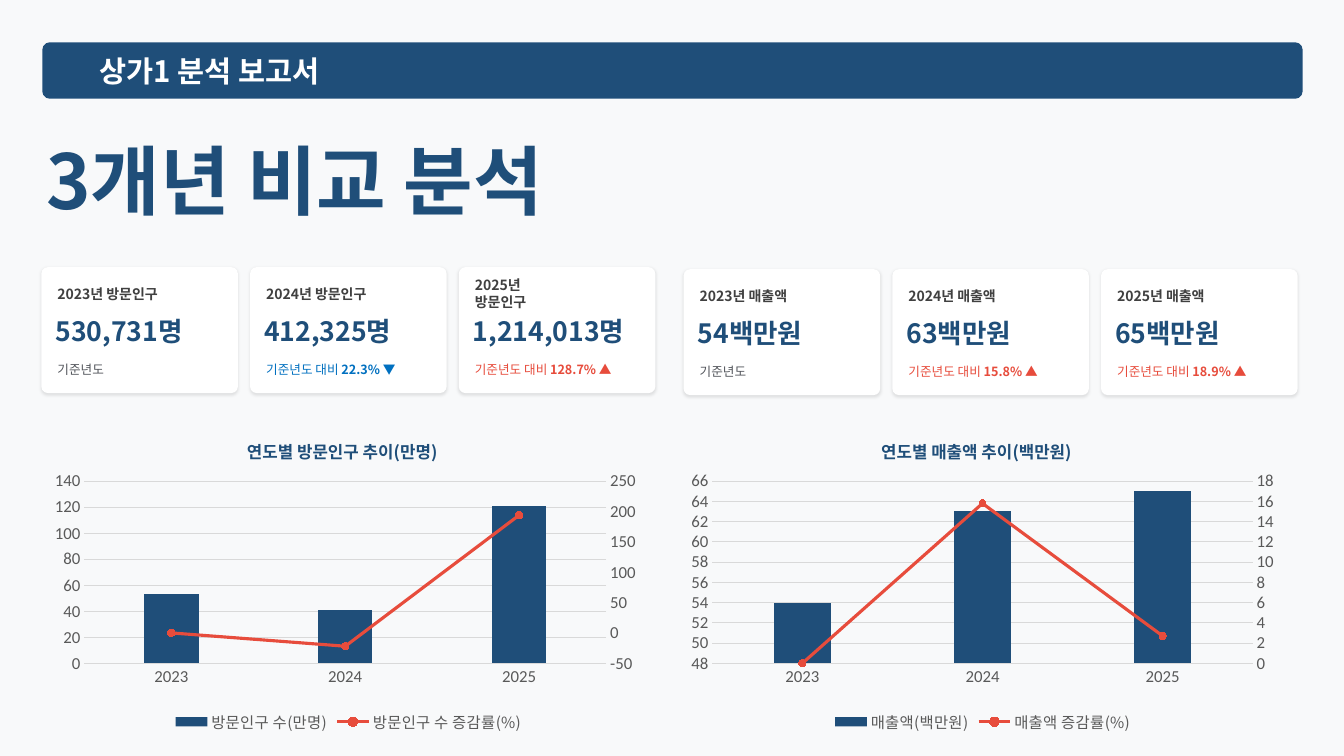
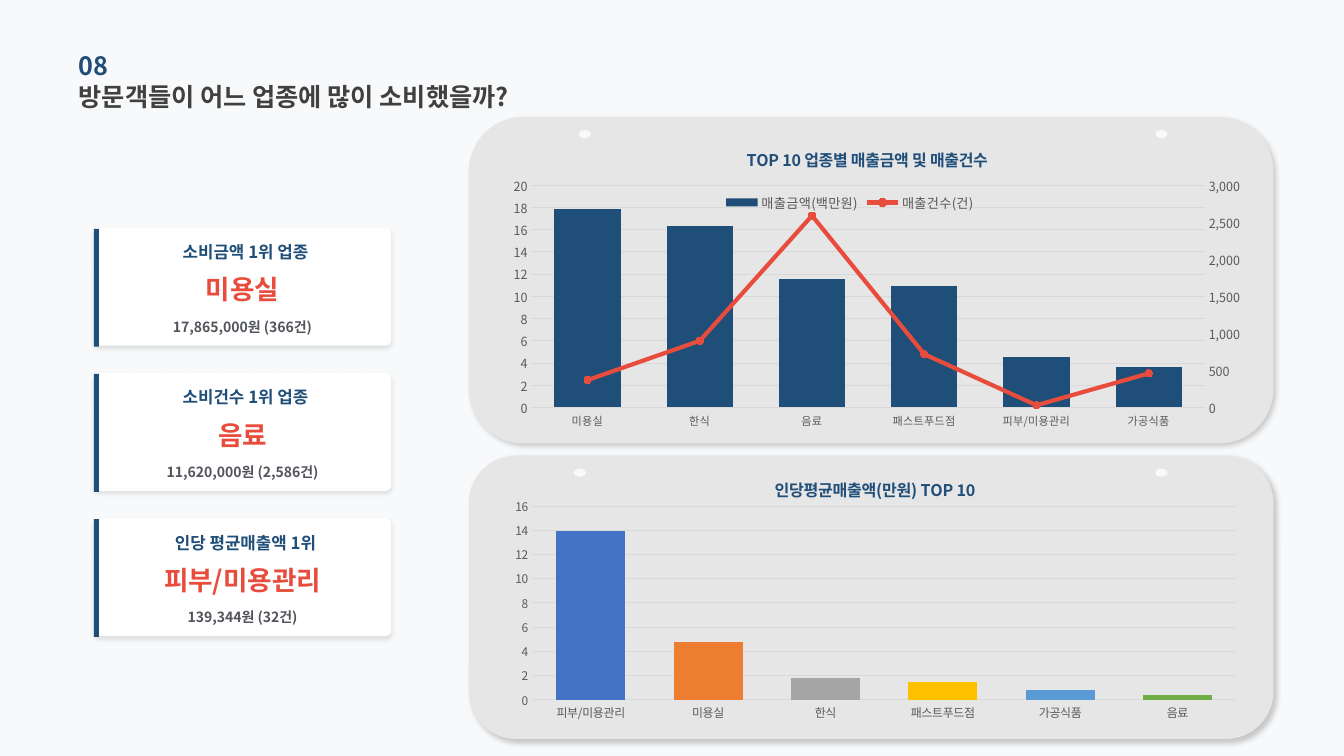
from copy import deepcopy

from pptx import Presentation
from pptx.chart.axis import ValueAxis
from pptx.chart.data import CategoryChartData
from pptx.dml.color import RGBColor
from pptx.enum.chart import XL_CHART_TYPE, XL_LEGEND_POSITION, XL_MARKER_STYLE, XL_TICK_MARK
from pptx.enum.shapes import MSO_SHAPE
from pptx.enum.text import MSO_ANCHOR, PP_ALIGN
from pptx.oxml import parse_xml
from pptx.oxml.ns import nsdecls
from pptx.util import Inches, Pt

# Shared style
NAVY = RGBColor(0x1F, 0x4E, 0x79)
RED = RGBColor(0xE7, 0x4C, 0x3C)
BLUE = RGBColor(0x00, 0x70, 0xC0)
DARK = RGBColor(0x40, 0x40, 0x40)
SLATE = RGBColor(0x51, 0x54, 0x5A)
AXIS_GRAY = RGBColor(0x59, 0x59, 0x59)
GRID_GRAY = RGBColor(0xD9, 0xD9, 0xD9)
PANEL_GRAY = RGBColor(0xE7, 0xE6, 0xE6)
PAPER = RGBColor(0xF8, 0xF9, 0xFA)
WHITE = RGBColor(0xFF, 0xFF, 0xFF)
BAR_COLORS = [RGBColor.from_string(code) for code in
              ("4472C4", "ED7D31", "A5A5A5", "FFC000", "5B9BD5", "70AD47")]
KOREAN = "Noto Sans CJK KR"
LATIN = "Calibri"

COLUMN = XL_CHART_TYPE.COLUMN_CLUSTERED
LEGEND_BOTTOM, LEGEND_TOP = XL_LEGEND_POSITION.BOTTOM, XL_LEGEND_POSITION.TOP
CIRCLE = XL_MARKER_STYLE.CIRCLE
NO_TICK = XL_TICK_MARK.NONE
RECTANGLE, ROUNDED, OVAL = MSO_SHAPE.RECTANGLE, MSO_SHAPE.ROUNDED_RECTANGLE, MSO_SHAPE.OVAL
MIDDLE = MSO_ANCHOR.MIDDLE
LEFT, CENTER = PP_ALIGN.LEFT, PP_ALIGN.CENTER

# Shadows: opacity percent, blur, distance, angle
CARD_SHADOW = (10, 2, 1, 90)
RANK_SHADOW = (10, 3, 2, 90)
PANEL_SHADOW = (20, 4, 3, 45)


def style_font(font, size, color, bold=False, name=KOREAN):
    font.name, font.size, font.bold = name, Pt(size), bold
    font.color.rgb = color


def add_korean_font(element):
    for latin in element.xpath(".//a:latin"):
        latin.addnext(parse_xml(f'<a:ea {nsdecls("a")} typeface="{KOREAN}"/>'))


def place(element, index, position, inner=False):
    """Give a chart part a manual layout, as fractions of the chart."""
    for layout in element.xpath("./c:layout"):
        element.remove(layout)
    target = '<c:layoutTarget val="inner"/>' if inner else ""
    modes = '<c:xMode val="edge"/><c:yMode val="edge"/>'
    sizes = "".join(f'<c:{key} val="{value}"/>' for key, value in zip("xywh", position))
    element.insert(index, parse_xml(
        f'<c:layout {nsdecls("c")}><c:manualLayout>{target}{modes}{sizes}'
        "</c:manualLayout></c:layout>"))


def set_scale(axis, scale):
    axis.minimum_scale, axis.maximum_scale, axis.major_unit = scale


class Deck:
    def __init__(self):
        self.presentation = Presentation()
        self.presentation.slide_width = Inches(13.33)
        self.presentation.slide_height = Inches(7.5)
        self.slide = None

    def new_slide(self):
        self.slide = self.presentation.slides.add_slide(self.presentation.slide_layouts[6])
        self.slide.background.fill.solid()
        self.slide.background.fill.fore_color.rgb = PAPER

    def shape(self, kind, box, color, radius=None, shadow=None):
        shape = self.slide.shapes.add_shape(kind, *map(Inches, box))
        shape.fill.solid()
        shape.fill.fore_color.rgb = color
        shape.line.fill.background()
        shape.shadow.inherit = False
        if radius is not None:
            shape.adjustments[0] = radius
        if shadow:
            opacity, blur, distance, angle = shadow
            shape.element.xpath("./p:spPr/a:effectLst")[0].append(parse_xml(
                f'<a:outerShdw {nsdecls("a")} blurRad="{Pt(blur)}" dist="{Pt(distance)}" '
                f'dir="{angle * 60000}" algn="ctr" rotWithShape="0"><a:srgbClr val="000000">'
                f'<a:alpha val="{opacity * 1000}"/></a:srgbClr></a:outerShdw>'))

    def text(self, box, text, size, color, bold=True, align=LEFT, bold_end=""):
        shape = self.slide.shapes.add_textbox(*map(Inches, box))
        frame = shape.text_frame
        frame.word_wrap = True
        frame.vertical_anchor = MIDDLE
        frame.margin_left = frame.margin_right = frame.margin_top = frame.margin_bottom = 0
        paragraph = frame.paragraphs[0]
        paragraph.alignment = align
        paragraph.add_run().text = text
        style_font(paragraph.font, size, color, bold)
        if bold_end:
            run = paragraph.add_run()
            run.text = bold_end
            run.font.bold = True
        add_korean_font(shape.element)

    def year_card(self, left, top, label, value, change, label_width=1.2):
        self.shape(ROUNDED, (left, top, 1.95, 1.25), WHITE, 0.053, CARD_SHADOW)
        self.text((left + 0.16, top + 0.18, label_width, 0.17), label, 10, DARK)
        self.text((left + 0.14, top + 0.49, 1.95, 0.29), value, 19, NAVY)
        note = (left + 0.16, top + 0.91, 1.75, 0.21)
        if change:
            color = RED if change.endswith("▲") else BLUE
            self.text(note, "기준년도 대비 ", 9, color, False, bold_end=change)
        else:
            self.text(note, "기준년도", 9, SLATE, False)

    def rank_card(self, top, label, value, detail):
        left, width = 0.93, 2.95
        self.shape(ROUNDED, (left, top, width, 1.17), WHITE, 0.048, RANK_SHADOW)
        self.text((left + 0.03, top + 0.13, width, 0.22), label, 12, NAVY, align=CENTER)
        self.text((left, top + 0.44, width, 0.34), value, 19, RED, align=CENTER)
        self.text((left, top + 0.9, width, 0.17), detail, 10, SLATE, align=CENTER)
        self.shape(RECTANGLE, (left, top + 0.01, 0.05, 1.17), NAVY)

    def panel(self, top, height, hole_left):
        self.shape(ROUNDED, (4.65, top, 7.98, height), PANEL_GRAY, shadow=PANEL_SHADOW)
        for left in (hole_left, 11.46):
            self.shape(OVAL, (left, top + 0.13, 0.12, 0.08), PAPER)

    def chart(self, box, title, title_at, title_size, categories, series, plot_at, scale,
              gap, overlap=0, axis_sizes=(12, 12), axis_font=LATIN):
        data = CategoryChartData()
        data.categories = categories
        for name, values in series:
            data.add_series(name, values)
        chart = self.slide.shapes.add_chart(COLUMN, *map(Inches, box), data).chart
        style_font(chart.font, 10, AXIS_GRAY, name=LATIN)
        chart.has_legend = False
        # Title and plot area
        chart.has_title = True
        chart.chart_title.text_frame.text = title
        style_font(chart.chart_title.text_frame.paragraphs[0].font, title_size, NAVY, True)
        place(chart.element.xpath(".//c:title")[0], 1, title_at)
        place(chart.element.xpath(".//c:plotArea")[0], 0, plot_at, inner=True)
        # Axes
        for axis, size in zip((chart.category_axis, chart.value_axis), axis_sizes):
            axis.major_tick_mark = NO_TICK
            style_font(axis.tick_labels.font, size, AXIS_GRAY, name=axis_font)
        line = chart.category_axis.format.line
        line.color.rgb, line.width = GRID_GRAY, Pt(0.75)
        chart.value_axis.format.line.fill.background()
        grid = chart.value_axis.major_gridlines.format.line
        grid.color.rgb, grid.width = GRID_GRAY, Pt(0.75)
        chart.value_axis.tick_labels.number_format = "#,##0"
        chart.value_axis.tick_labels.number_format_is_linked = False
        set_scale(chart.value_axis, scale)
        # Columns
        plot = chart.plots[0]
        plot.gap_width, plot.overlap = gap, overlap
        plot.vary_by_categories = False
        plot.series[0].format.fill.solid()
        plot.series[0].format.fill.fore_color.rgb = NAVY
        return chart

    def line_on_right_axis(self, chart, scale, width):
        """Turn the second column series into a line with its own value axis."""
        bars = chart.element.xpath(".//c:barChart")[0]
        series = bars.xpath("./c:ser")[1]
        for flag in series.xpath("./c:invertIfNegative"):
            series.remove(flag)
        lines = parse_xml(
            f'<c:lineChart {nsdecls("c")}><c:grouping val="standard"/><c:varyColors val="0"/>'
            '<c:marker val="1"/><c:axId val="5001"/><c:axId val="5002"/></c:lineChart>')
        lines.insert(2, series)
        bars.addnext(lines)
        value_axis = chart.element.xpath(".//c:valAx")[0]
        category_copy = deepcopy(chart.element.xpath(".//c:catAx")[0])
        value_copy = deepcopy(value_axis)
        value_axis.addnext(value_copy)
        value_copy.addnext(category_copy)
        for axis, own, other in ((category_copy, "5001", "5002"), (value_copy, "5002", "5001")):
            axis.xpath("./c:axId")[0].set("val", own)
            axis.xpath("./c:crossAx")[0].set("val", other)
        category_copy.xpath("./c:delete")[0].set("val", "1")
        value_copy.xpath("./c:axPos")[0].set("val", "r")
        value_copy.xpath("./c:crosses")[0].set("val", "max")
        right_axis = ValueAxis(value_copy)
        right_axis.has_major_gridlines = False
        set_scale(right_axis, scale)
        # Line look
        line = chart.plots[1].series[0]
        line.smooth = False
        line.format.line.color.rgb, line.format.line.width = RED, Pt(width)
        line.marker.style, line.marker.size = CIRCLE, 5
        line.marker.format.fill.solid()
        line.marker.format.fill.fore_color.rgb = RED
        line.marker.format.line.color.rgb = RED

    def legend(self, chart, position, size, at=None):
        chart.has_legend = True
        chart.legend.position = position
        chart.legend.include_in_layout = at is not None
        style_font(chart.legend.font, size, AXIS_GRAY)
        if at:
            place(chart.element.xpath(".//c:legend")[0], 1, at)


def build_year_comparison(deck):
    deck.new_slide()
    # Header and heading
    deck.shape(ROUNDED, (0.42, 0.42, 12.5, 0.56), NAVY, 0.132)
    deck.text((0.99, 0.49, 11.35, 0.43), "상가1 분석 보고서", 21, WHITE)
    deck.text((0.46, 1.23, 6.32, 1.09), "3개년 비교 분석", 54, NAVY)
    # Yearly figures
    visitors = [("530,731명", ""), ("412,325명", "22.3% ▼"), ("1,214,013명", "128.7% ▲")]
    sales = [("54백만원", ""), ("63백만원", "15.8% ▲"), ("65백만원", "18.9% ▲")]
    years = ["2023", "2024", "2025"]
    for left, top, topic, figures in ((0.41, 2.65, "방문인구", visitors),
                                      (6.78, 2.67, "매출액", sales)):
        for index, (year, (value, change)) in enumerate(zip(years, figures)):
            label_width = 0.98 if (topic, year) == ("방문인구", "2025") else 1.2
            deck.year_card(left + 2.07 * index, top, f"{year}년 {topic}", value, change,
                           label_width)
    # Trends
    trends = [
        (0.41, "연도별 방문인구 추이(만명)", (0.07, 0.2, 0.85, 0.57), (0, 140, 20), (-50, 250, 50),
         [("방문인구 수(만명)", (53, 41, 121)), ("방문인구 수 증감률(%)", (0, -22, 194))]),
        (6.7, "연도별 매출액 추이(백만원)", (0.06, 0.2, 0.88, 0.57), (48, 66, 2), (0, 18, 2),
         [("매출액(백만원)", (54, 63, 65)), ("매출액 증감률(%)", (0, 15.8, 2.7))]),
    ]
    for left, title, plot_at, scale, right_scale, series in trends:
        chart = deck.chart((left, 4.14, 6.09, 3.17), title, (0.33, 0.05), 12, years, series,
                           plot_at, scale, 219)
        deck.line_on_right_axis(chart, right_scale, 2.25)
        deck.legend(chart, LEGEND_BOTTOM, 11)
        add_korean_font(chart.element)


def build_spending_by_sector(deck):
    deck.new_slide()
    deck.panel(4.52, 2.81, 5.69)
    deck.panel(1.16, 3.24, 5.74)
    # Heading
    deck.text((0.78, 0.44, 4.52, 0.41), "08", 18, NAVY)
    deck.text((0.78, 0.75, 4.52, 0.41), "방문객들이 어느 업종에 많이 소비했을까?", 18, DARK)
    # Leaders
    leaders = [("소비금액 1위 업종", "미용실", "17,865,000원 (366건)"),
               ("소비건수 1위 업종", "음료", "11,620,000원 (2,586건)"),
               ("인당 평균매출액 1위", "피부/미용관리", "139,344원 (32건)")]
    for index, leader in enumerate(leaders):
        deck.rank_card(2.26 + 1.44 * index, *leader)
    # Amount and count
    chart = deck.chart(
        (4.98, 1.24, 7.32, 3.15), "TOP 10 업종별 매출금액 및 매출건수", (0.33, 0.06), 11.5,
        ["미용실", "한식", "음료", "패스트푸드점", "피부/미용관리", "가공식품"],
        [("매출금액(백만원)", (17.9, 16.3, 11.6, 10.9, 4.5, 3.6)),
         ("매출건수(건)", (370, 900, 2590, 720, 30, 460))],
        (0.04, 0.19, 0.92, 0.7), (0, 20, 2), 70, -27, (8, 9), KOREAN)
    deck.line_on_right_axis(chart, (0, 3000, 500), 3)
    deck.legend(chart, LEGEND_TOP, 9.5, (0.3, 0.2))
    add_korean_font(chart.element)
    # Average per person
    chart = deck.chart(
        (4.98, 4.54, 7.43, 2.67), "인당평균매출액(만원) TOP 10", (0.36, 0.06), 11.5,
        ["피부/미용관리", "미용실", "한식", "패스트푸드점", "가공식품", "음료"],
        [("인당평균매출액", (13.9, 4.8, 1.8, 1.5, 0.8, 0.4))],
        (0.04, 0.18, 0.94, 0.72), (0, 16, 2), 70, -27, (8.5, 8.5), KOREAN)
    for index, color in enumerate(BAR_COLORS):
        fill = chart.plots[0].series[0].points[index].format.fill
        fill.solid()
        fill.fore_color.rgb = color
    add_korean_font(chart.element)


def main():
    deck = Deck()
    build_year_comparison(deck)
    build_spending_by_sector(deck)
    deck.presentation.save("out.pptx")


if __name__ == "__main__":
    main()
